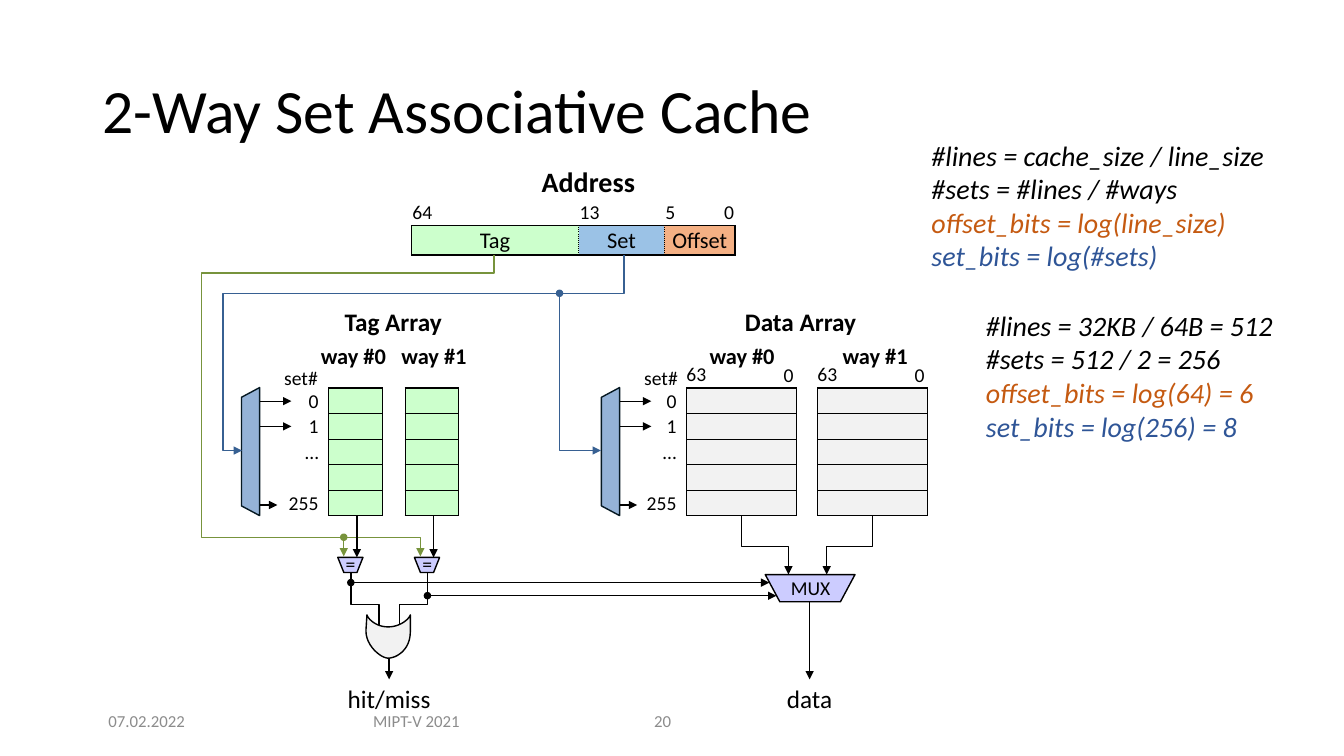
from lxml.etree import SubElement
from pptx import Presentation
from pptx.dml.color import RGBColor
from pptx.enum.shapes import MSO_CONNECTOR, MSO_SHAPE
from pptx.enum.text import MSO_ANCHOR, PP_ALIGN
from pptx.oxml.ns import qn
from pptx.util import Inches, Pt

# Content
COLORS = dict(black="000000", grey="8C8C8C", white="FFFFFF", green="CCFFCC", blue="9BC2E6",
              orange="F4B084", silver="F2F2F2", lilac="CCCCFF", decoder="95B3D7",
              decoder_edge="061922", tag_wire="77933C", set_wire="376092",
              offset_text="C55A11", set_text="2F5597")
TITLE = "2-Way Set Associative Cache"
ADDRESS_BITS = {0: "64", 1: "13", 3: "5", 4: "0"}
ADDRESS_FIELDS = [("Tag", 0, 0, "green"), ("Set", 1, 2, "blue"), ("Offset", 3, 4, "orange")]
ADDRESS_COLUMNS = [1.66, 0.34, 0.51, 0.35, 0.35]
SET_NUMBERS = ["0", "1", "…", "", "255"]
FORMULA_COLORS = ["black", "black", "offset_text", "set_text"]
FORMULAS = [
    (9.14, 1.32, 4.4, ["#lines = cache_size / line_size", "#sets = #lines / #ways",
                       "offset_bits = log(line_size)", "set_bits = log(#sets)"]),
    (9.68, 3.01, 3.1, ["#lines = 32KB / 64B = 512", "#sets = 512 / 2 = 256",
                       "offset_bits = log(64) = 6", "set_bits = log(256) = 8"]),
]
HEADINGS = [  # words, left, top, width, size
    ("Address", 4.84, 1.58, 1.99, 20),
    ("Tag Array", 3.25, 2.99, 1.3, 18), ("Data Array", 7.15, 2.99, 1.58, 18),
    ("way #0", 3, 3.35, 1.01, 16), ("way #1", 3.8, 3.35, 1.01, 16),
    ("way #0", 6.74, 3.35, 1.24, 16), ("way #1", 8.06, 3.35, 1.24, 16),
]
OUTPUTS = [("hit/miss", 3.86, 6.53), ("data", 8.03, 5.97)]
FOOTER = [("07.02.2022", 0.92, 1.07, "c"), ("MIPT-V 2021", 3.34, 1.58, "c"),
          ("20", 6.39, 0.79, "l")]

# Grid
ARRAY_TOP, ROW = 3.85, 0.253
ARRAY_BOTTOM = ARRAY_TOP + ROW * len(SET_NUMBERS)
TAG_LEFT, TAG_STEP, TAG_WIDTH = 3.26, 0.76, 0.53
DATA_LEFT, DATA_STEP, DATA_WIDTH = 6.81, 1.3, 1.09
DECODER_LEFTS = [2.4, 5.97]
OUTPUT_WIDTH = 1.4
ALIGN = dict(l=PP_ALIGN.LEFT, c=PP_ALIGN.CENTER, r=PP_ALIGN.RIGHT)

prs = Presentation()
prs.slide_width, prs.slide_height = Inches(13.33), Inches(7.5)
slide = prs.slides.add_slide(prs.slide_layouts[6])
shapes = slide.shapes


def rgb(color):
    return RGBColor.from_string(COLORS[color])


def write(frame, lines, size=14, colors=("black",), align="l", bold=False, italic=False,
          spacing=None):
    for i, words in enumerate(lines):
        paragraph = frame.add_paragraph() if i else frame.paragraphs[0]
        paragraph.alignment = ALIGN[align]
        if spacing:
            paragraph.line_spacing = spacing
        if not words:
            SubElement(paragraph._p, qn("a:endParaRPr"), sz=str(size * 100))
            continue
        run = paragraph.add_run()
        run.text = words
        font = run.font
        font.name, font.size, font.bold, font.italic = "Calibri", Pt(size), bold, italic
        font.color.rgb = rgb(colors[i % len(colors)])


def label(lines, left, top, width, height=0.34, wrap=False, middle=False, **style):
    frame = shapes.add_textbox(*map(Inches, (left, top, width, height))).text_frame
    frame.word_wrap = wrap
    frame.vertical_anchor = MSO_ANCHOR.MIDDLE if middle else MSO_ANCHOR.TOP
    write(frame, lines, **style)


def outline(part, color, weight, arrow):
    part.line.color.rgb = rgb(color)
    part.line.width = Pt(weight)
    if arrow:
        SubElement(part._element.spPr.find(qn("a:ln")), qn("a:tailEnd"), type="triangle")


def line(x1, y1, x2, y2, weight=1, arrow=True):
    part = shapes.add_connector(MSO_CONNECTOR.STRAIGHT, *map(Inches, (x1, y1, x2, y2)))
    outline(part, "black", weight, arrow)
    SubElement(part._element.spPr, qn("a:effectLst"))


def path_through(points, color="black", arrow=True, fill=None):
    points = [(Inches(x), Inches(y)) for x, y in points]
    builder = shapes.build_freeform(*points[0])
    builder.add_line_segments(points[1:], close=bool(fill))
    part = builder.convert_to_shape()
    part.shadow.inherit = False
    if fill:
        part.fill.solid()
        part.fill.fore_color.rgb = rgb(fill)
    else:
        part.fill.background()
    outline(part, color, 1, arrow)


def block(kind, left, top, width, height, fill, edge, rotation=0, inset=None):
    part = shapes.add_shape(kind, *map(Inches, (left, top, width, height)))
    part.shadow.inherit = False
    part.rotation = rotation
    if inset:
        part.adjustments[0] = inset
    part.fill.solid()
    part.fill.fore_color.rgb = rgb(fill)
    outline(part, edge, 1, False)


def dot(x, y, color="black"):
    block(MSO_SHAPE.OVAL, x - 0.03, y - 0.03, 0.06, 0.06, color, color)


def grid(left, top, columns, rows):
    table = shapes.add_table(len(rows), len(columns), Inches(left), Inches(top),
                             Inches(sum(columns)), Inches(sum(rows))).table
    table.first_row = table.horz_banding = False
    for column, width in zip(table.columns, columns):
        column.width = Inches(width)
    for row, height in zip(table.rows, rows):
        row.height = Inches(height)
    return table


def fill_cell(cell, words="", fill=None, borders=(0, 0, 0, 0), right=0.01,
              anchor=MSO_ANCHOR.MIDDLE, **style):
    """Borders are weights for left, right, top, bottom; 0.5 on a side edge is dotted."""
    cell.margin_left = cell.margin_top = Inches(0.01)
    cell.margin_right, cell.margin_bottom = Inches(right), 0
    cell.vertical_anchor = anchor
    if fill:
        cell.fill.solid()
        cell.fill.fore_color.rgb = rgb(fill)
    else:
        cell.fill.background()
    properties = cell._tc.get_or_add_tcPr()
    for i, (side, weight) in enumerate(zip("LRTB", borders)):
        edge = SubElement(properties, qn("a:ln" + side), w=str(Pt(weight)))
        properties.insert(i, edge)
        if weight:
            SubElement(SubElement(edge, qn("a:solidFill")), qn("a:srgbClr"), val=COLORS["black"])
            if side in "LR" and weight == 0.5:
                SubElement(edge, qn("a:prstDash"), val="sysDot")
        else:
            SubElement(edge, qn("a:noFill"))
    write(cell.text_frame, [words], **style)


def way(left, width, fill, number_width=0):
    columns = [number_width, width] if number_width else [width]
    table = grid(left - number_width, ARRAY_TOP, columns, [ROW] * len(SET_NUMBERS))
    last = len(SET_NUMBERS) - 1
    for i, number in enumerate(SET_NUMBERS):
        if number_width:
            fill_cell(table.cell(i, 0), number, borders=(0, 1, 0, 0), right=0.1,
                      anchor=MSO_ANCHOR.BOTTOM, align="r")
        fill_cell(table.cell(i, len(columns) - 1), fill=fill, size=10,
                  borders=(1, 1, 0.5 if i else 1, 1 if i == last else 0.5))


def bezier(start, c1, c2, end, steps=12):
    for t in (i / steps for i in range(1, steps + 1)):
        s = 1 - t
        yield tuple(s**3 * a + 3 * s * s * t * b + 3 * s * t * t * c + t**3 * d
                    for a, b, c, d in zip(start, c1, c2, end))


# Title, headings, formulas, footer
label([TITLE], 0.92, 0.4, 11.5, 1.45, wrap=True, middle=True, size=44, spacing=0.9)
for words, left, top, width, size in HEADINGS:
    label([words], left, top, width, wrap=True, size=size, align="c", bold=True)
for left, top, width, lines in FORMULAS:
    label(lines, left, top, width, 1.45, wrap=True, size=20, colors=FORMULA_COLORS, italic=True)
for words, left, width, align in FOOTER:
    label([words], left, 6.95, width, 0.4, wrap=True, middle=True, size=12, colors=["grey"],
          align=align)

# Address fields
address = grid(4.08, 1.98, ADDRESS_COLUMNS, [0.26, 0.29])
for column in range(len(ADDRESS_COLUMNS)):
    fill_cell(address.cell(0, column), ADDRESS_BITS.get(column, ""), "white", (0, 0, 0, 1),
              align="r" if column == 4 else "l")
for words, first, last, fill in ADDRESS_FIELDS:
    if last > first:
        address.cell(1, first).merge(address.cell(1, last))
    fill_cell(address.cell(1, first), words, fill, size=16, align="c",
              borders=(0.5 if first else 1, 1 if last == 4 else 0.5, 1, 1))

# Tag and data arrays
for i in range(2):
    way(TAG_LEFT + i * TAG_STEP, TAG_WIDTH, "green", 0 if i else 0.46)
    data_left = DATA_LEFT + i * DATA_STEP
    way(data_left, DATA_WIDTH, "silver", 0 if i else 0.41)
    label(["63"], data_left - 0.1, 3.54, 0.4)
    label(["0"], data_left + 0.86, 3.55, 0.3, align="r")

# Set decoders
for left in DECODER_LEFTS:
    label(["set#"], left + 0.32, 3.58, 0.54)
    block(MSO_SHAPE.TRAPEZOID, left - 0.55, 4.39, 1.27, 0.18, "decoder", "decoder_edge", 270, 0.535)
    for y, length in [(3.98, 0.31), (4.23, 0.31), (5.01, 0.17)]:
        line(left + 0.18, y, left + 0.18 + length, y, 0.75)

# Tag and set wires
path_through([(4.9, 2.53), (4.9, 2.71), (2, 2.71), (2, 5.33), (3.41, 5.33), (3.41, 5.52)],
             "tag_wire")
path_through([(3.41, 5.33), (4.17, 5.33), (4.17, 5.52)], "tag_wire")
dot(3.41, 5.33, "tag_wire")
path_through([(6.19, 2.53), (6.19, 2.91), (2.21, 2.91), (2.21, 4.47), (2.4, 4.47)], "set_wire")
path_through([(5.55, 2.91), (5.55, 4.47), (5.96, 4.47)], "set_wire")
dot(5.55, 2.91, "set_wire")

# OR gate
gate = [(4.07, 6.27), (4.07, 6.1)]
for curve in [[(4.06, 6.14), (3.97, 6.22), (3.85, 6.22)], [(3.73, 6.22), (3.65, 6.14), (3.64, 6.1)],
              [(3.64, 6.1), (3.63, 6.26), (3.63, 6.26)], [(3.63, 6.41), (3.78, 6.53), (3.85, 6.53)],
              [(3.93, 6.53), (4.07, 6.45), (4.07, 6.27)]]:
    gate += bezier(gate[-1], *curve)
path_through(gate, arrow=False, fill="silver")

# Comparators and data selection
block(MSO_SHAPE.TRAPEZOID, 7.59, 5.7, 0.89, 0.27, "lilac", "black", 180, 0.535)
label(["MUX"], 7.74, 5.66, 0.6, middle=True, align="c")
for i, (gate_x, hit_y, hit_end, mux_x) in enumerate([(3.76, 5.78, 7.63, 7.82),
                                                     (3.96, 5.91, 7.7, 8.2)]):
    left = TAG_LEFT + i * TAG_STEP
    out = left + 0.22
    line(left + 0.28, ARRAY_BOTTOM, left + 0.28, 5.53)
    block(MSO_SHAPE.TRAPEZOID, left + 0.09, 5.53, 0.25, 0.15, "lilac", "black", 180, 0.4)
    label(["="], left + 0.07, 5.43, 0.3)
    path_through([(out, 5.68), (out, 6), (gate_x, 6), (gate_x, 6.2)], arrow=False)
    dot(out, hit_y)
    line(out + 0.03, hit_y, hit_end, hit_y, 0.75)
    data_x = DATA_LEFT + i * DATA_STEP + DATA_WIDTH / 2
    path_through([(data_x, ARRAY_BOTTOM), (data_x, 5.42), (mux_x, 5.42), (mux_x, 5.7)])

# Outputs
for words, x, y in OUTPUTS:
    line(x, y, x, 6.74)
    label([words], x - OUTPUT_WIDTH / 2, 6.73, OUTPUT_WIDTH, 0.4, size=18, align="c")

prs.save("out.pptx")
